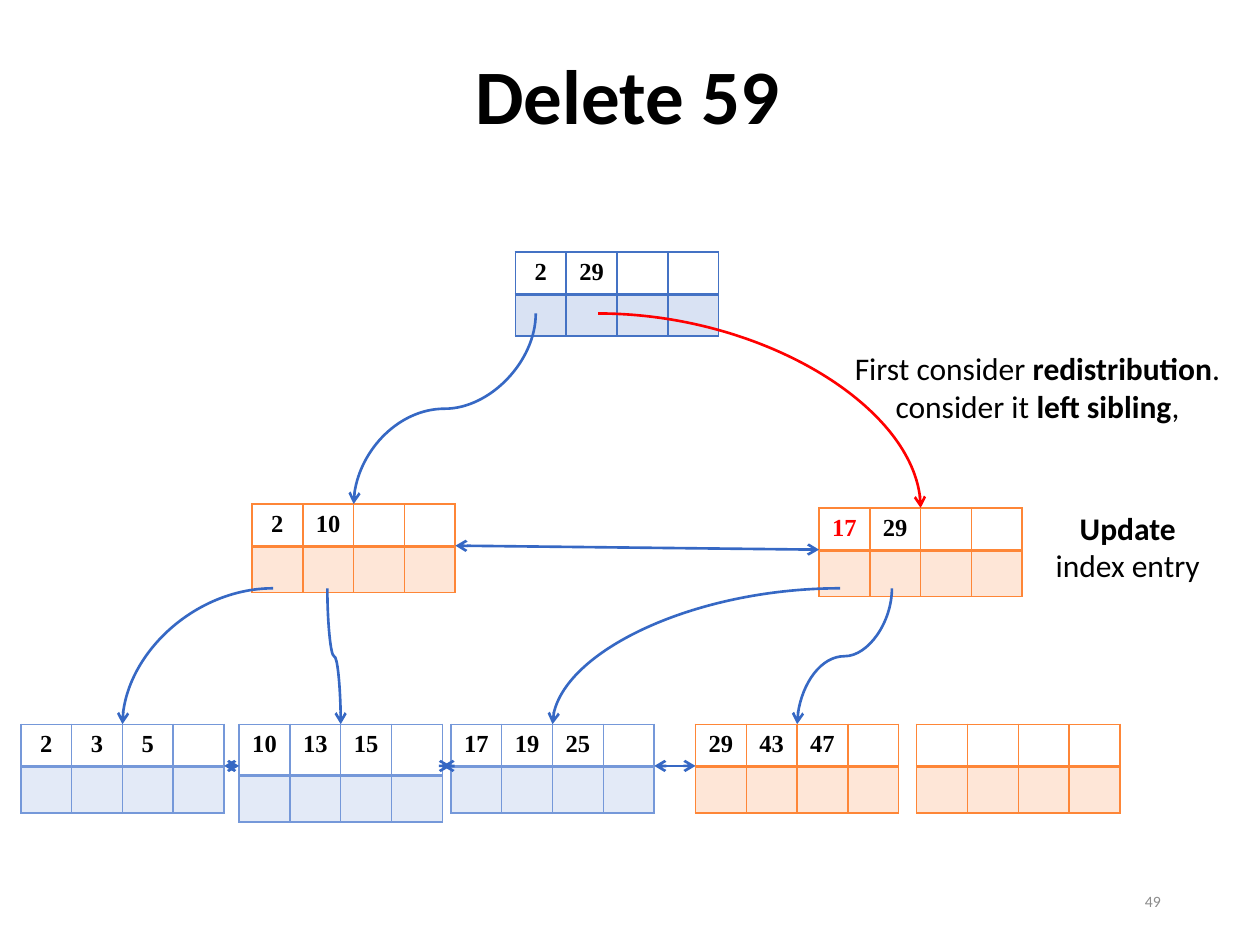
from lxml.etree import SubElement
from pptx import Presentation
from pptx.dml.color import RGBColor
from pptx.enum.shapes import MSO_CONNECTOR
from pptx.enum.text import MSO_ANCHOR, PP_ALIGN
from pptx.oxml import parse_xml
from pptx.oxml.ns import nsdecls, qn
from pptx.util import Cm, Pt

THEME = {
    "heading": "Calibri", "keys": "Times New Roman",
    "black": "000000", "red": "FF0000", "gray": "8C8C8C", "link": "3668C4",
    "root": "4472C4", "orange": "FE8637", "leaf": "7598D9",
    "title_size": 44, "note_size": 18, "key_size": 14, "number_size": 9,
}

# Content: every length is in centimetres
TITLE = "Delete 59"
PAGE_NUMBER = "49"
FANOUT = 4
NODE_WIDTH = 4.1
LEAF_TOP = 14.6
LINK_DROP = 0.84

# node: left, top, colour, keys, row heights
INNER_ROWS = (0.81, 0.94)
NODES = {
    "root": (10.39, 5.08, "root", ["2", "29"], (0.81, 0.81)),
    "left": (5.08, 10.16, "orange", ["2", "10"], INNER_ROWS),
    "right": (16.51, 10.24, "orange", ["17", "29"], INNER_ROWS),
    "leaf 2": (0.42, LEAF_TOP, "leaf", ["2", "3", "5"], INNER_ROWS),
    "leaf 10": (4.82, LEAF_TOP, "leaf", ["10", "13", "15"], (1.03, 0.94)),
    "leaf 17": (9.09, LEAF_TOP, "leaf", ["17", "19", "25"], INNER_ROWS),
    "leaf 29": (14.02, LEAF_TOP, "orange", ["29", "43", "47"], INNER_ROWS),
    "emptied leaf": (18.48, LEAF_TOP, "orange", [], INNER_ROWS),
}
UPDATED_KEY = ("right", 0)

# pointer: start x, start y, child, shape (S-curve or quarter arc), colour
POINTERS = [
    (10.8, 6.32, "left", "s", "link"),
    (12.06, 6.32, "right", "arc", "red"),
    (5.51, 11.86, "leaf 2", "arc", "link"),
    (6.6, 11.86, "leaf 10", "s", "link"),
    (16.94, 11.86, "leaf 17", "arc", "link"),
    (17.98, 11.86, "leaf 29", "s", "link"),
]
SIBLINGS = [("left", "right"), ("leaf 2", "leaf 10"),
            ("leaf 10", "leaf 17"), ("leaf 17", "leaf 29")]

# note: left, top, width, height, paragraphs of (text, bold) runs
NOTES = [
    (16.94, 6.91, 7.95, 1.8, [
        [("First consider ", False), ("redistribution", True), (".", False)],
        [("consider it ", False), ("left sibling", True), (",", False)]]),
    (20.88, 10.13, 3.71, 1.8, [[("Update", True), (" index entry", False)]]),
]


def write(paragraph, text, size, font=THEME["heading"], color="black",
          bold=False, align=PP_ALIGN.CENTER):
    paragraph.alignment = align
    run = paragraph.add_run()
    run.text = text
    run.font.name = font
    run.font.size = Pt(size)
    run.font.bold = bold
    run.font.color.rgb = RGBColor.from_string(THEME[color])


def format_cell(cell, color, is_pointer_row):
    if is_pointer_row:
        cell.fill.solid()
        cell.fill.fore_color.rgb = RGBColor.from_string(color)
    else:
        cell.fill.background()
    properties = cell._tc.get_or_add_tcPr()
    for tint in properties.iter(qn("a:srgbClr")):
        SubElement(tint, qn("a:alpha"), val="20000")
    divider = "T" if is_pointer_row else "B"
    for position, side in enumerate("LRTB"):
        width = Pt(2 if side == divider else 1)
        properties.insert(position, parse_xml(
            f'<a:ln{side} {nsdecls("a")} w="{width}"><a:solidFill>'
            f'<a:srgbClr val="{color}"/></a:solidFill></a:ln{side}>'))


def add_node(slide, name):
    left, top, color, keys, heights = NODES[name]
    table = slide.shapes.add_table(2, FANOUT, Cm(left), Cm(top), Cm(NODE_WIDTH),
                                   Cm(sum(heights))).table
    table.first_row = table.horz_banding = False
    for column in table.columns:
        column.width = Cm(NODE_WIDTH / FANOUT)
    for row_index, height in enumerate(heights):
        table.rows[row_index].height = Cm(height)
        for column_index in range(FANOUT):
            cell = table.cell(row_index, column_index)
            format_cell(cell, THEME[color], row_index == 1)
            paragraph = cell.text_frame.paragraphs[0]
            if row_index == 0 and column_index < len(keys):
                updated = (name, column_index) == UPDATED_KEY
                write(paragraph, keys[column_index], THEME["key_size"],
                      font=THEME["keys"], color="red" if updated else "black", bold=True)
            else:
                paragraph.font.size = Pt(THEME["key_size"])


def add_arrow(slide, kind, start, end, color="link", both_ends=False):
    connector = slide.shapes.add_connector(kind, *map(Cm, start + end))
    connector.line.color.rgb = RGBColor.from_string(THEME[color])
    connector.line.width = Pt(1.5)
    line = connector.line._get_or_add_ln()
    for tag in ["a:headEnd", "a:tailEnd"] if both_ends else ["a:tailEnd"]:
        SubElement(line, qn(tag), type="arrow")
    SubElement(connector._element.spPr, qn("a:effectLst"))
    return connector


def add_pointer(slide, x, y, child, shape, color):
    child_left, child_top = NODES[child][:2]
    end_x = child_left + NODE_WIDTH / 2
    if shape == "arc":
        arc = add_arrow(slide, MSO_CONNECTOR.CURVE, (x, y), (end_x, child_top), color)
        arc._element.spPr.find(qn("a:prstGeom")).set("prst", "curvedConnector2")
        return
    # An S-curve leaves downwards: lay it out sideways, then turn it
    middle_x, middle_y = (x + end_x) / 2, (y + child_top) / 2
    half_run, half_rise = (child_top - y) / 2, (end_x - x) / 2
    curve = add_arrow(slide, MSO_CONNECTOR.CURVE,
                      (middle_x - half_run, middle_y + half_rise),
                      (middle_x + half_run, middle_y - half_rise), color)
    curve.rotation = 90


def add_text_box(slide, left, top, width, height, anchor=MSO_ANCHOR.TOP):
    frame = slide.shapes.add_textbox(Cm(left), Cm(top), Cm(width), Cm(height)).text_frame
    frame.word_wrap = True
    frame.vertical_anchor = anchor
    return frame


def main():
    presentation = Presentation()
    presentation.slide_width, presentation.slide_height = Cm(25.4), Cm(19.05)
    slide = presentation.slides.add_slide(presentation.slide_layouts[5])

    # Title and page number
    title = slide.shapes.title
    title.left, title.top, title.width, title.height = map(Cm, (1.24, 0.64, 22.83, 2.74))
    title.text_frame.vertical_anchor = MSO_ANCHOR.MIDDLE
    heading = title.text_frame.paragraphs[0]
    heading.line_spacing = 0.9
    write(heading, TITLE, THEME["title_size"], bold=True)
    number = add_text_box(slide, 17.93, 17.65, 5.72, 1.02, MSO_ANCHOR.MIDDLE)
    write(number.paragraphs[0], PAGE_NUMBER, THEME["number_size"], color="gray",
          align=PP_ALIGN.RIGHT)

    # Tree nodes
    for name in NODES:
        add_node(slide, name)

    # Child pointers and sibling links
    for pointer in POINTERS:
        add_pointer(slide, *pointer)
    for first, second in SIBLINGS:
        (first_left, first_top), (second_left, second_top) = NODES[first][:2], NODES[second][:2]
        add_arrow(slide, MSO_CONNECTOR.STRAIGHT,
                  (first_left + NODE_WIDTH, first_top + LINK_DROP),
                  (second_left, second_top + LINK_DROP), both_ends=True)

    # Notes
    for *box, paragraphs in NOTES:
        frame = add_text_box(slide, *box)
        for index, runs in enumerate(paragraphs):
            paragraph = frame.add_paragraph() if index else frame.paragraphs[0]
            for text, bold in runs:
                write(paragraph, text, THEME["note_size"], bold=bold)

    presentation.save("out.pptx")


if __name__ == "__main__":
    main()
